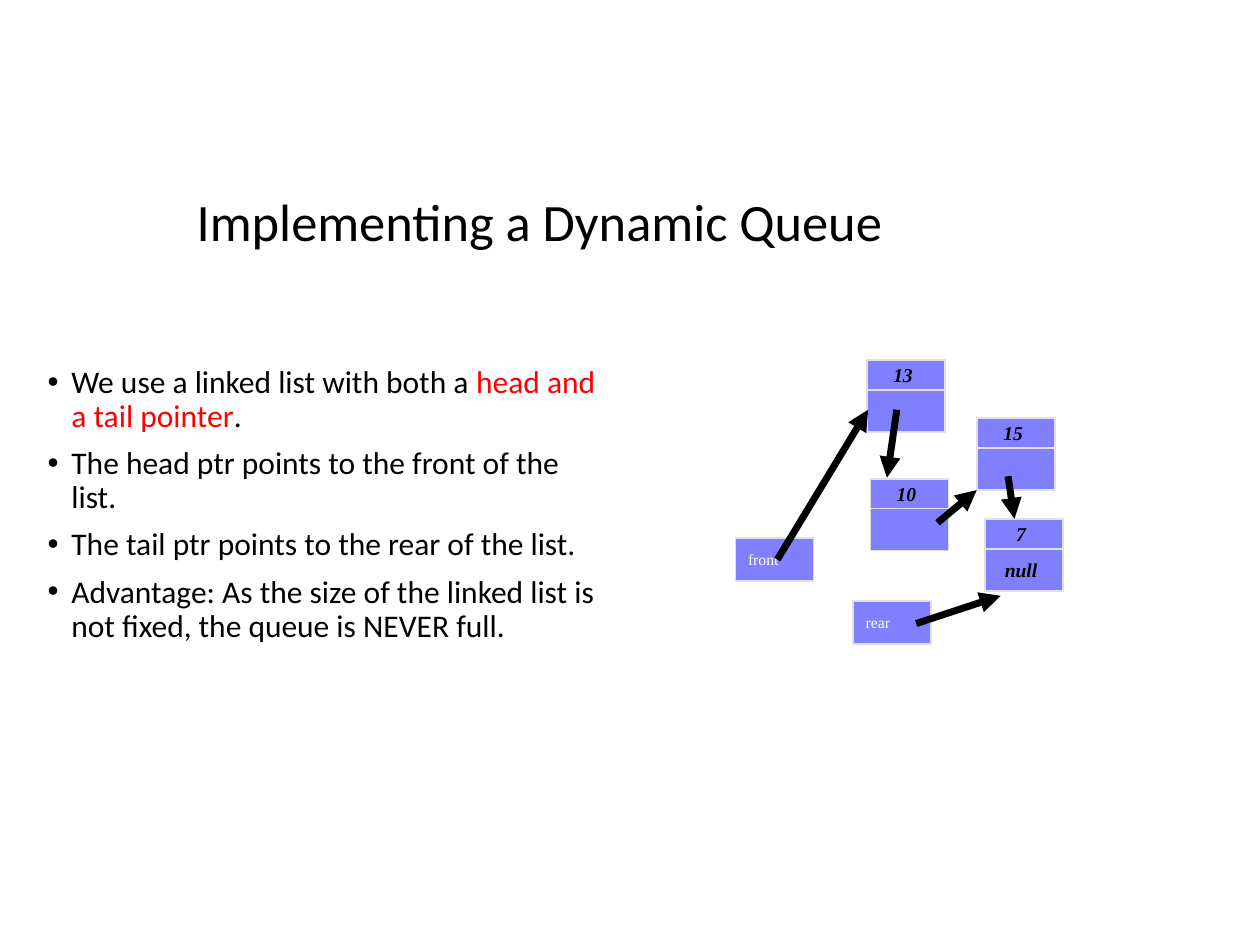
from dataclasses import dataclass

from lxml.etree import SubElement
from pptx import Presentation
from pptx.dml.color import RGBColor
from pptx.enum.shapes import MSO_CONNECTOR, MSO_SHAPE
from pptx.enum.text import MSO_ANCHOR, PP_ALIGN
from pptx.oxml.ns import qn
from pptx.util import Cm, Pt

BLACK, WHITE, RED = "000000", "FFFFFF", "FF0000"
CELL_FILL, CELL_LINE = "8080FF", "E0E0E0"
SANS, SERIF = "Calibri", "Times New Roman"
CELL_WIDTH, NODE_HEIGHT, POINTER_HEIGHT = 1.57, 1.45, 0.86
VALUE_HEIGHT = 0.6


@dataclass
class Node:
    value: str
    left: float
    top: float
    value_width: float = 0.69
    link: str = ""


@dataclass
class Pointer:
    name: str
    left: float
    top: float


@dataclass
class Arrow:
    start: tuple[float, float]
    end: tuple[float, float]


NODES = [
    Node("7", 19.86, 10.46, value_width=0.48, link="null"),
    Node("10", 17.55, 9.65),
    Node("15", 19.7, 8.43),
    Node("13", 17.48, 7.26),
]
POINTERS = [Pointer("front", 14.83, 10.85), Pointer("rear", 17.2, 12.12)]
ARROWS = [
    Arrow((15.67, 11.28), (17.5, 8.26)),
    Arrow((18.08, 8.26), (17.88, 9.63)),
    Arrow((18.9, 10.54), (19.69, 9.88)),
    Arrow((20.32, 9.6), (20.45, 10.46)),
    Arrow((18.47, 12.57), (20.17, 12.01)),
]
BULLETS = [
    [("We use a linked list with both a ", BLACK),
     ("head and a tail pointer", RED), (".", BLACK)],
    [("The head ptr points to the front of the list.", BLACK)],
    [("The tail ptr points to the rear of the list.", BLACK)],
    [("Advantage: As the size of the linked list is not fixed, "
      "the queue is NEVER full.", BLACK)],
]


def rgb(color: str) -> RGBColor:
    return RGBColor.from_string(color)


def add_span(para, text: str, *, size: float, font: str = SERIF,
             color: str = BLACK, strong: bool = False) -> None:
    """Add a run; strong means bold italic."""
    span = para.add_run()
    span.text = text
    span.font.name, span.font.size = font, Pt(size)
    span.font.color.rgb = rgb(color)
    span.font.bold = span.font.italic = strong


def add_cell(page, left: float, top: float, height: float):
    box = page.shapes.add_shape(MSO_SHAPE.RECTANGLE, Cm(left), Cm(top),
                                Cm(CELL_WIDTH), Cm(height))
    box.shadow.inherit = False
    box.fill.solid()
    box.fill.fore_color.rgb = rgb(CELL_FILL)
    box.line.color.rgb = rgb(CELL_LINE)
    box.line.width = Pt(1)
    return box


def add_line(page, start: tuple[float, float], end: tuple[float, float], *,
             color: str, width: float, arrow: bool = False) -> None:
    line = page.shapes.add_connector(MSO_CONNECTOR.STRAIGHT,
                                     *map(Cm, (*start, *end)))
    line.line.color.rgb = rgb(color)
    line.line.width = Pt(width)
    if arrow:
        SubElement(line.line._get_or_add_ln(), qn("a:tailEnd"), type="triangle")
    SubElement(line._element.spPr, qn("a:effectLst"))


def add_label(page, text: str, center: float, top: float, width: float) -> None:
    box = page.shapes.add_textbox(Cm(center - width / 2), Cm(top),
                                  Cm(width), Cm(0.58))
    frame = box.text_frame
    frame.word_wrap = False
    frame.margin_left = frame.margin_right = Cm(0)
    frame.margin_top = frame.margin_bottom = Cm(0.08)
    para = frame.paragraphs[0]
    para.alignment = PP_ALIGN.CENTER
    para.line_spacing = 0.93
    add_span(para, text, size=11.2, strong=True)


def add_node(page, node: Node) -> None:
    add_cell(page, node.left, node.top, NODE_HEIGHT)
    divider = node.top + VALUE_HEIGHT
    add_line(page, (node.left, divider), (node.left + CELL_WIDTH, divider),
             color=CELL_LINE, width=1)
    center = node.left + CELL_WIDTH / 2 - 0.06
    add_label(page, node.value, center, node.top + 0.02, node.value_width)
    if node.link:
        add_label(page, node.link, center, node.top + 0.74, 0.97)


def add_pointer(page, pointer: Pointer) -> None:
    box = add_cell(page, pointer.left, pointer.top, POINTER_HEIGHT)
    frame = box.text_frame
    frame.vertical_anchor = MSO_ANCHOR.MIDDLE
    para = frame.paragraphs[0]
    para.alignment = PP_ALIGN.LEFT
    add_span(para, pointer.name, size=9, color=WHITE)


def format_title(page) -> None:
    title = page.shapes.title
    title.left, title.top, title.width, title.height = map(
        Cm, (3.71, 3.61, 15.82, 1.78))
    title.text_frame.vertical_anchor = MSO_ANCHOR.MIDDLE
    para = title.text_frame.paragraphs[0]
    para.alignment = PP_ALIGN.LEFT
    para.line_spacing = 0.95
    add_span(para, "Implementing a Dynamic Queue", size=30, font=SANS)


def add_bullets(page) -> None:
    box = page.shapes.add_textbox(Cm(0.71), Cm(7.26), Cm(11.76), Cm(6.73))
    frame = box.text_frame
    frame.word_wrap = True
    for index, spans in enumerate(BULLETS):
        para = frame.add_paragraph() if index else frame.paragraphs[0]
        para.line_spacing = 0.9
        para.space_before = Pt(7.5)
        properties = para._p.get_or_add_pPr()
        indent = Cm(0.48)
        properties.set("marL", str(indent))
        properties.set("indent", str(-indent))
        SubElement(properties, qn("a:buFont"), typeface="Arial")
        SubElement(properties, qn("a:buChar"), char="•")
        for text, color in spans:
            add_span(para, text, size=18, font=SANS, color=color)


def main() -> None:
    deck = Presentation()
    deck.slide_width, deck.slide_height = Cm(25.4), Cm(19.05)
    page = deck.slides.add_slide(deck.slide_layouts[5])
    format_title(page)
    add_bullets(page)
    for node in NODES:
        add_node(page, node)
    for pointer in POINTERS:
        add_pointer(page, pointer)
    for arrow in ARROWS:
        add_line(page, arrow.start, arrow.end, color=BLACK, width=4, arrow=True)
    deck.save("out.pptx")


if __name__ == "__main__":
    main()
